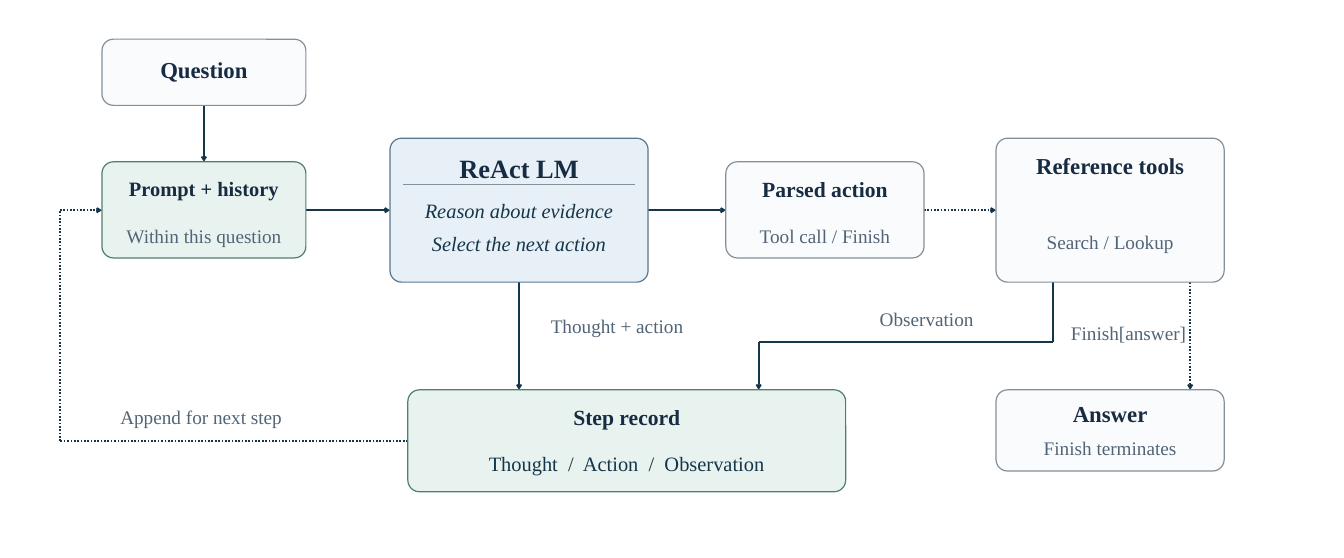
from itertools import pairwise

from lxml import etree
from pptx import Presentation
from pptx.dml.color import RGBColor
from pptx.enum.dml import MSO_LINE
from pptx.enum.shapes import MSO_CONNECTOR, MSO_SHAPE
from pptx.enum.text import MSO_ANCHOR, PP_ALIGN
from pptx.oxml.ns import qn
from pptx.util import Inches, Pt

STRAIGHT = MSO_CONNECTOR.STRAIGHT
ROUNDED = MSO_SHAPE.ROUNDED_RECTANGLE
DOTTED = MSO_LINE.ROUND_DOT
MIDDLE = MSO_ANCHOR.MIDDLE
CENTER = PP_ALIGN.CENTER

INK = RGBColor(0x17, 0x2B, 0x42)
FLOW = RGBColor(0x15, 0x35, 0x4A)
MUTED = RGBColor(0x52, 0x64, 0x77)
GRAY = RGBColor(0x83, 0x90, 0x99)
PALE = RGBColor(0xFA, 0xFB, 0xFC)
GREEN = RGBColor(0x50, 0x7E, 0x71)
MINT = RGBColor(0xE8, 0xF3, 0xEF)
BLUE = RGBColor(0x59, 0x77, 0x8E)
SKY = RGBColor(0xE8, 0xF0, 0xF7)

PLAIN = (PALE, GRAY)
MEMORY = (MINT, GREEN)
MODEL = (SKY, BLUE)


class Diagram:
    font = "Times New Roman"
    radius = 0.2
    margin = 0.19

    def __init__(self, slide):
        self.s = slide

    def line(self, start, end, color=FLOW, width=2.1, dotted=False, arrow=False):
        c = self.s.shapes.add_connector(STRAIGHT, *map(Inches, start + end))
        c.line.color.rgb = color
        c.line.width = Pt(width)
        if dotted:
            c.line.dash_style = DOTTED
        if arrow:
            ln = c._element.spPr.find(qn("a:ln"))
            etree.SubElement(ln, qn("a:tailEnd"), type="arrow")
        etree.SubElement(c._element.spPr, qn("a:effectLst"))

    def route(self, *points, dotted=False):
        for start, end in pairwise(points):
            self.line(start, end, dotted=dotted, arrow=end == points[-1])

    def box(self, x, y, w, h, style):
        sp = self.s.shapes.add_shape(ROUNDED, *map(Inches, (x, y, w, h)))
        sp.adjustments[0] = self.radius / min(w, h)
        sp.shadow.inherit = False
        sp.fill.solid()
        sp.fill.fore_color.rgb, sp.line.color.rgb = style
        sp.line.width = Pt(1.5)

    def text(self, text, x, middle, w, size=24, color=MUTED, bold=False, italic=False):
        h = size / 60
        sp = self.s.shapes.add_textbox(*map(Inches, (x, middle - h / 2, w, h)))
        tf = sp.text_frame
        tf.margin_left = tf.margin_right = tf.margin_top = tf.margin_bottom = 0
        tf.word_wrap = False
        tf.vertical_anchor = MIDDLE
        p = tf.paragraphs[0]
        p.text = text
        p.alignment = CENTER
        f = p.runs[0].font
        f.name, f.size, f.bold, f.italic = self.font, Pt(size), bold, italic
        f.color.rgb = color

    def card(self, x, y, w, h, style, title, title_y, title_size, body=(), **body_style):
        self.box(x, y, w, h, style)
        left, width = x + self.margin, w - 2 * self.margin
        self.text(title, left, title_y, width, title_size, INK, bold=True)
        for text, middle in body:
            self.text(text, left, middle, width, **body_style)


def main():
    prs = Presentation()
    prs.slide_width, prs.slide_height = Inches(23.33), Inches(9.69)
    d = Diagram(prs.slides.add_slide(prs.slide_layouts[6]))

    main_y, tools_bottom, record_y = 3.65, 4.9, 6.77
    d.route((3.54, 1.82), (3.54, 2.81))
    d.route((5.31, main_y), (6.77, main_y))
    d.route((11.25, main_y), (12.6, main_y))
    d.route((16.04, main_y), (17.29, main_y), dotted=True)
    d.route((9.01, tools_bottom), (9.01, record_y))
    d.route((18.28, tools_bottom), (18.28, 5.94), (13.17, 5.94), (13.17, record_y))
    d.route((7.08, 7.66), (1.04, 7.66), (1.04, main_y), (1.77, main_y), dotted=True)
    d.route((20.66, tools_bottom), (20.66, record_y), dotted=True)

    d.card(1.77, 0.68, 3.54, 1.15, PLAIN, "Question", 1.2, 28.5)
    d.card(1.77, 2.81, 3.54, 1.67, MEMORY, "Prompt + history", 3.27, 25.5,
           [("Within this question", 4.1)])
    d.card(6.77, 2.4, 4.48, 2.5, MODEL, "ReAct LM", 2.92, 33,
           [("Reason about evidence", 3.66), ("Select the next action", 4.23)],
           size=25.5, color=FLOW, italic=True)
    d.line((6.99, 3.21), (11.03, 3.21), GRAY, 1.05)
    d.card(12.6, 2.81, 3.44, 1.67, PLAIN, "Parsed action", 3.28, 27,
           [("Tool call / Finish", 4.1)])
    d.card(17.29, 2.4, 3.96, 2.5, PLAIN, "Reference tools", 2.88, 28.5,
           [("Search / Lookup", 4.2)])
    d.card(7.08, record_y, 7.6, 1.77, MEMORY, "Step record", 7.24, 27,
           [("Thought  /  Action  /  Observation", 8.04)], size=25.5, color=FLOW)
    d.card(17.29, record_y, 3.96, 1.41, PLAIN, "Answer", 7.17, 28.5,
           [("Finish terminates", 7.78)])

    d.text("Thought + action", 9.38, 5.66, 2.66)
    d.text("Observation", 15.1, 5.54, 1.97)
    d.text("Append for next step", 1.88, 7.24, 3.22)
    d.text("Finish[answer]", 18.44, 5.78, 2.3)

    prs.save("out.pptx")


if __name__ == "__main__":
    main()
